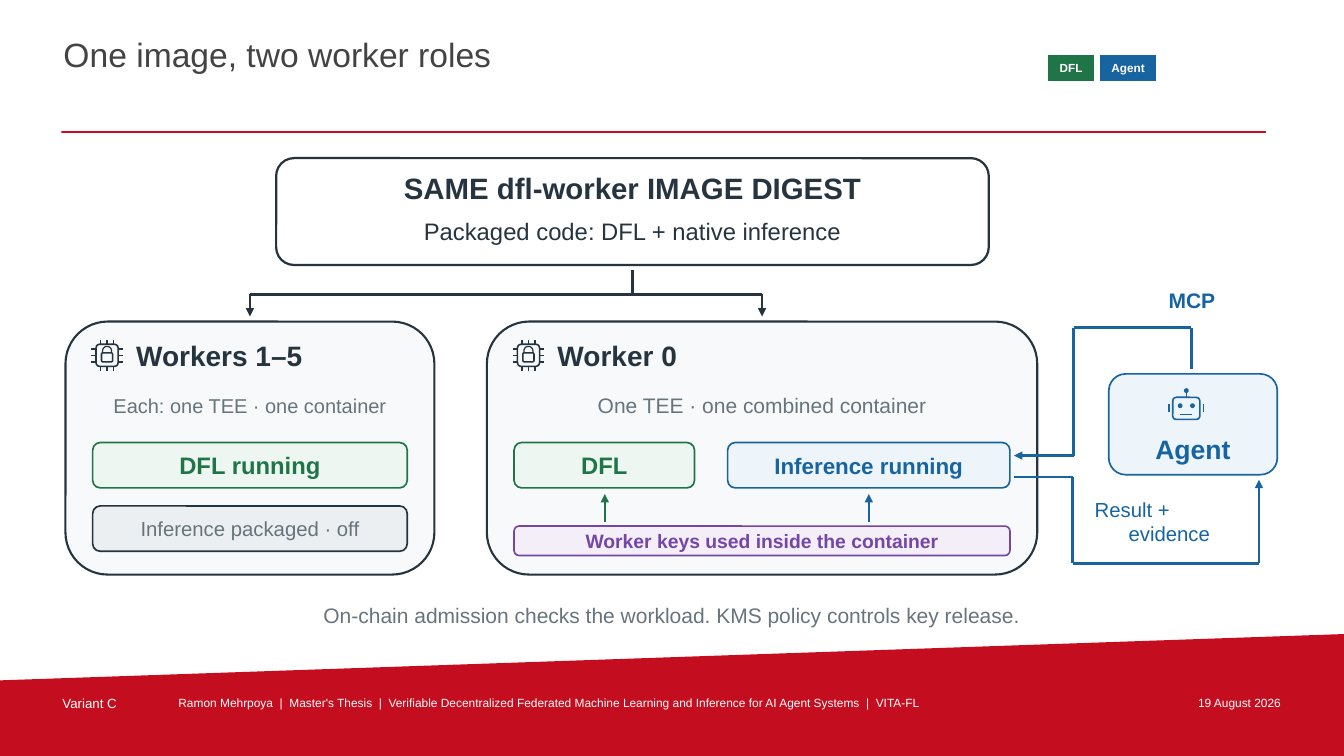
from math import cos, pi, sin

from lxml.etree import SubElement
from pptx import Presentation
from pptx.dml.color import RGBColor
from pptx.enum.shapes import MSO_CONNECTOR, MSO_SHAPE as SHAPE
from pptx.enum.text import MSO_ANCHOR as ANCHOR, PP_ALIGN as ALIGN
from pptx.oxml.ns import qn
from pptx.util import Pt

# Content
TITLE = "One image, two worker roles"
CAPTION = "On-chain admission checks the workload. KMS policy controls key release."
THESIS = ("Ramon Mehrpoya  |  Master's Thesis  |  Verifiable Decentralized Federated "
          "Machine Learning and Inference for AI Agent Systems  |  VITA-FL")
# text, left, width, size, alignment
FOOTER = [
    ("Variant C", 43.2, 72, 9.5, ALIGN.LEFT),
    (THESIS, 126, 673, 8.5, ALIGN.LEFT),
    ("19 August 2026", 806.4, 110, 8.5, ALIGN.RIGHT),
]
# text, left, width, colour
TAGS = [("DFL", 748.8, 32.6, "green"), ("Agent", 786, 39.6, "blue")]
# text, top, height, size, bold
IMAGE_LINES = [
    ("SAME dfl-worker IMAGE DIGEST", 121.7, 25.2, 21, True),
    ("Packaged code: DFL + native inference", 154.1, 22.3, 17, False),
]
# name, subtitle, subtitle size, left, width
WORKERS = [
    ("Workers 1–5", "Each: one TEE · one container", 14.3, 46.8, 263.5),
    ("Worker 0", "One TEE · one combined container", 15, 347.8, 393.1),
]
# text, box, fill, line, text colour, size, bold
STATES = [
    ("DFL running", (66.2, 316.1, 224.7, 32.4), "mint", "green", "green", 17, True),
    ("Inference packaged · off", (66.2, 361.4, 224.7, 32.4), "mist", "ink", "grey", 14.5, False),
    ("DFL", (367.2, 316.1, 128.9, 32.4), "mint", "green", "green", 17, True),
    ("Inference running", (519.8, 316.1, 201.6, 32.4), "sky", "blue", "blue", 16, True),
    ("Worker keys used inside the container", (367.2, 375.8, 354.2, 21),
     "lilac", "purple", "purple", 13.8, True),
]
COLORS = {
    "red": "C40D1E", "title": "434343", "white": "FFFFFF", "ink": "263440",
    "grey": "67747C", "green": "207548", "blue": "1764A1", "purple": "7446A6",
    "panel": "F7F9FA", "mint": "EDF6F0", "mist": "ECEFF1", "sky": "EDF4FA",
    "lilac": "F3EEF8",
}

# Layout
IMAGE_BOX = (197.3, 113, 509, 76.3)
PANEL_TOP, PANEL_HEIGHT = 229.7, 180.7
AGENT_BOX = (792, 267.1, 120.4, 72)
stem_x = IMAGE_BOX[0] + IMAGE_BOX[2] / 2
FORK_Y = 210.2
# points, colour, weight, arrowhead at the end
ROUTES = [([(stem_x, 193), (stem_x, FORK_Y)], "ink", 1.8, False)]
for _, _, _, left, width in WORKERS:
    middle = left + width / 2
    ROUTES.append(([(stem_x, FORK_Y), (middle, FORK_Y), (middle, 226.1)], "ink", 1.8, True))
ROUTES += [
    ([(432, 373), (432, 352.8)], "green", 1.5, True),
    ([(620.6, 373), (620.6, 352.8)], "blue", 1.5, True),
    ([(851, 263.5), (851, 234), (766.8, 234), (766.8, 325.4), (724.3, 325.4)], "blue", 1.8, True),
    ([(724.3, 340.6), (766.1, 340.6), (766.1, 402.5), (899.3, 402.5), (899.3, 342.7)],
     "blue", 1.8, True),
]

prs = Presentation()
prs.slide_width, prs.slide_height = Pt(960), Pt(540)
slide = prs.slides.add_slide(prs.slide_layouts[5])
shapes = slide.shapes


def rgb(name):
    return RGBColor.from_string(COLORS[name])


def style(shape, fill=None, line=None, weight=1.0):
    shape.shadow.inherit = False
    if fill:
        shape.fill.solid()
        shape.fill.fore_color.rgb = rgb(fill)
    else:
        shape.fill.background()
    if line:
        shape.line.color.rgb = rgb(line)
        shape.line.width = Pt(weight)
    else:
        shape.line.fill.background()


def add_box(kind, box, fill, line=None, weight=1.0):
    shape = shapes.add_shape(kind, *map(Pt, box))
    style(shape, fill, line, weight)
    return shape


def write(shape, text, size, color, bold=False, align=ALIGN.CENTER,
          anchor=ANCHOR.MIDDLE, inset=0):
    frame = shape.text_frame
    frame.text = text
    frame.word_wrap = True
    frame.vertical_anchor = anchor
    frame.margin_left = frame.margin_right = Pt(inset)
    frame.margin_top = frame.margin_bottom = Pt(inset)
    for paragraph in frame.paragraphs:
        paragraph.alignment = align
        for run in paragraph.runs:
            run.font.name, run.font.size, run.font.bold = "Arial", Pt(size), bold
            run.font.color.rgb = rgb(color)
    return frame


def add_text(box, *args, **options):
    return write(shapes.add_textbox(*map(Pt, box)), *args, **options)


def add_route(points, color, weight, arrow=False):
    for start, end in zip(points, points[1:]):
        line = shapes.add_connector(MSO_CONNECTOR.STRAIGHT, *map(Pt, start + end))
        line.line.color.rgb = rgb(color)
        line.line.width = Pt(weight)
        SubElement(line._element.spPr, qn("a:effectLst"))
    if arrow:
        SubElement(line.line._get_or_add_ln(), qn("a:tailEnd"), type="triangle")


def add_outline(points, close, fill=None, line=None, weight=1.0):
    first, *rest = [(Pt(x), Pt(y)) for x, y in points]
    builder = shapes.build_freeform(*first, scale=1.0)
    builder.add_line_segments(rest, close=close)
    style(builder.convert_to_shape(), fill, line, weight)


def add_secure_chip(x, y):
    for offset in (-4.6, 0, 4.6):
        for inner, outer in ((-7.9, -11.2), (7.9, 11.2)):
            add_route([(x + offset, y + inner), (x + offset, y + outer)], "ink", 1.12)
            add_route([(x + inner, y + offset), (x + outer, y + offset)], "ink", 1.12)
    add_box(SHAPE.ROUNDED_RECTANGLE, (x - 7.9, y - 7.9, 15.8, 15.8), "panel", "ink", 1.12)
    arc = [(x - 3.2 * cos(pi * i / 12), y - 3.2 - 3.2 * sin(pi * i / 12)) for i in range(13)]
    add_outline([(x - 3.2, y - 1)] + arc + [(x + 3.2, y - 1)], False, None, "ink", 0.87)
    add_box(SHAPE.ROUNDED_RECTANGLE, (x - 4, y - 1.8, 8, 6.5), "panel", "ink", 1.12)


def add_robot(x, y):
    add_route([(x, y - 12), (x, y - 7.8)], "blue", 1.15)
    add_box(SHAPE.ROUNDED_RECTANGLE, (x - 9.7, y - 7.8, 19.4, 15.8), "sky", "blue", 1.15)
    for dot_x, dot_y in ((0, -12.6), (-4.4, -1.8), (4.4, -1.8)):
        add_box(SHAPE.OVAL, (x + dot_x - 1.1, y + dot_y - 1.1, 2.2, 2.2), "blue", "blue", 1.15)
    for ear in (-12.2, 12.2):
        add_route([(x + ear, y - 2.9), (x + ear, y + 2.9)], "blue", 1.15)
    add_route([(x - 4.4, y + 4.4), (x + 4.4, y + 4.4)], "blue", 1.15)


# Title, rule and footer
add_outline([(0, 486), (960, 452.9), (960, 540), (0, 540)], True, "red")
title = shapes.title
title.left, title.top, title.width, title.height = map(Pt, (43.9, 23, 694.8, 44.6))
write(title, TITLE, 24, "title", align=ALIGN.LEFT, anchor=ANCHOR.TOP, inset=1.44)
add_box(SHAPE.RECTANGLE, (43.9, 93.6, 860.4, 1.4), "red")
for text, left, width, size, align in FOOTER:
    add_text((left, 495.4, width, 15.8), text, size, "white",
             align=align, anchor=ANCHOR.TOP, inset=1.44)
for text, left, width, color in TAGS:
    tag = add_box(SHAPE.RECTANGLE, (left, 39.6, width, 18), color, color, 0.55)
    write(tag, text, 8.4, "white", True)

# Shared image
add_box(SHAPE.ROUNDED_RECTANGLE, IMAGE_BOX, "white", "ink", 1.6)
for text, top, height, size, bold in IMAGE_LINES:
    add_text((216, top, 471.6, height), text, size, "ink", bold)

# Workers and their states
for name, subtitle, size, left, width in WORKERS:
    add_box(SHAPE.ROUNDED_RECTANGLE, (left, PANEL_TOP, width, PANEL_HEIGHT), "panel", "ink", 1.5)
    add_secure_chip(left + 29.7, PANEL_TOP + 24.1)
    add_text((left + 50.4, 239.8, 185, 28), name, 20, "ink", True, ALIGN.LEFT)
    add_text((left + 15, 278.6, width - 30, 21.6), subtitle, size, "grey")
for text, box, fill, line, color, size, bold in STATES:
    state = add_box(SHAPE.ROUNDED_RECTANGLE, box, fill, line, 1.2)
    write(state, text, size, color, bold)

# Agent
add_box(SHAPE.ROUNDED_RECTANGLE, AGENT_BOX, "sky", "blue", 1.2)
add_robot(847.4, 291.6)
add_text((802.1, 309.6, 100, 22.3), "Agent", 19, "blue", True)

# Connections and their labels
for route in ROUTES:
    add_route(*route)
add_text((792, 203, 118.8, 23), "MCP", 15, "blue", True)
reply = add_text((781.9, 351.4, 106.6, 41.8), "Result +\nevidence", 14.5, "blue")
reply.paragraphs[0].alignment = ALIGN.LEFT
add_text((46.8, 426.2, 866.2, 25.9), CAPTION, 15, "grey")

prs.save("out.pptx")
